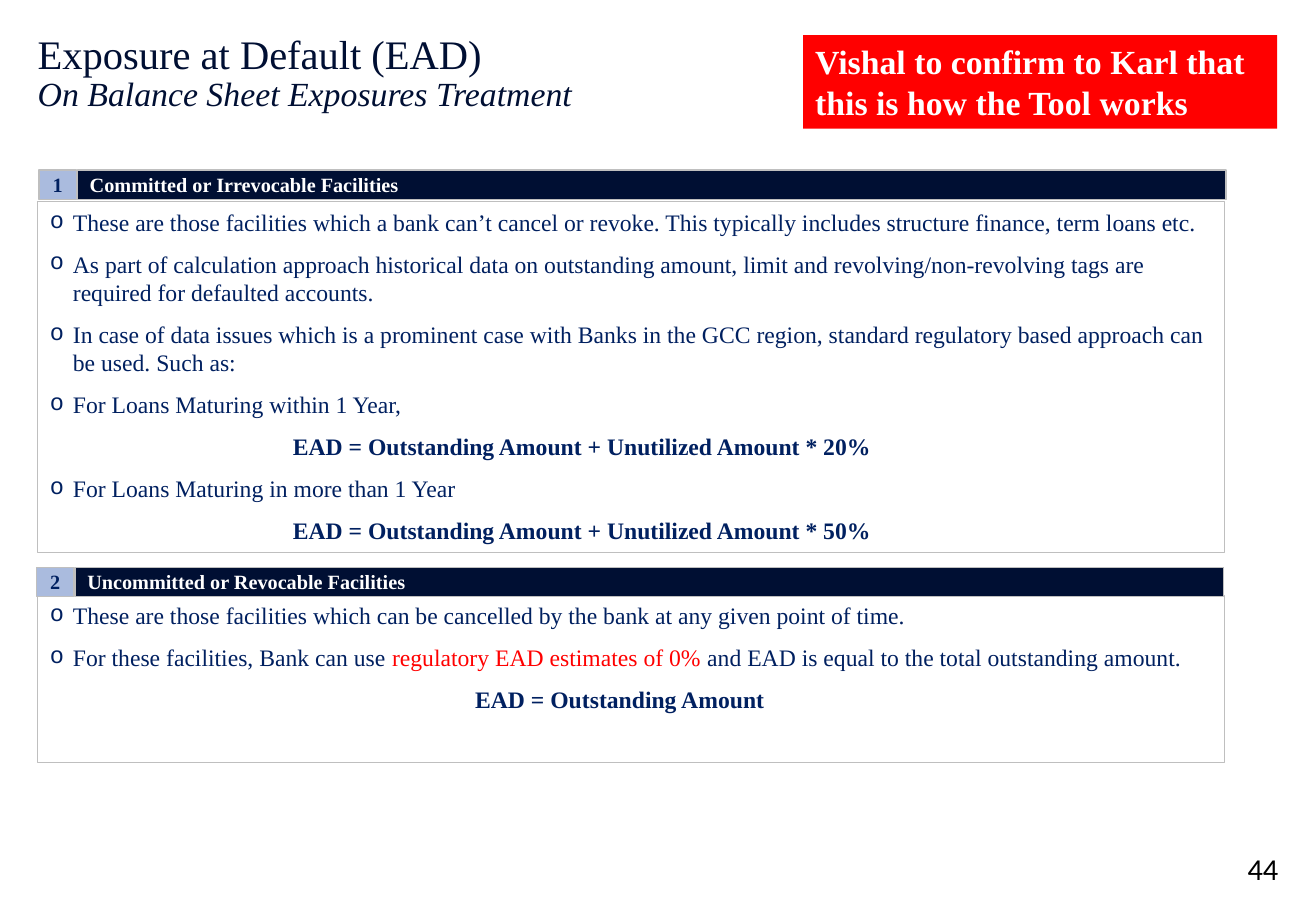
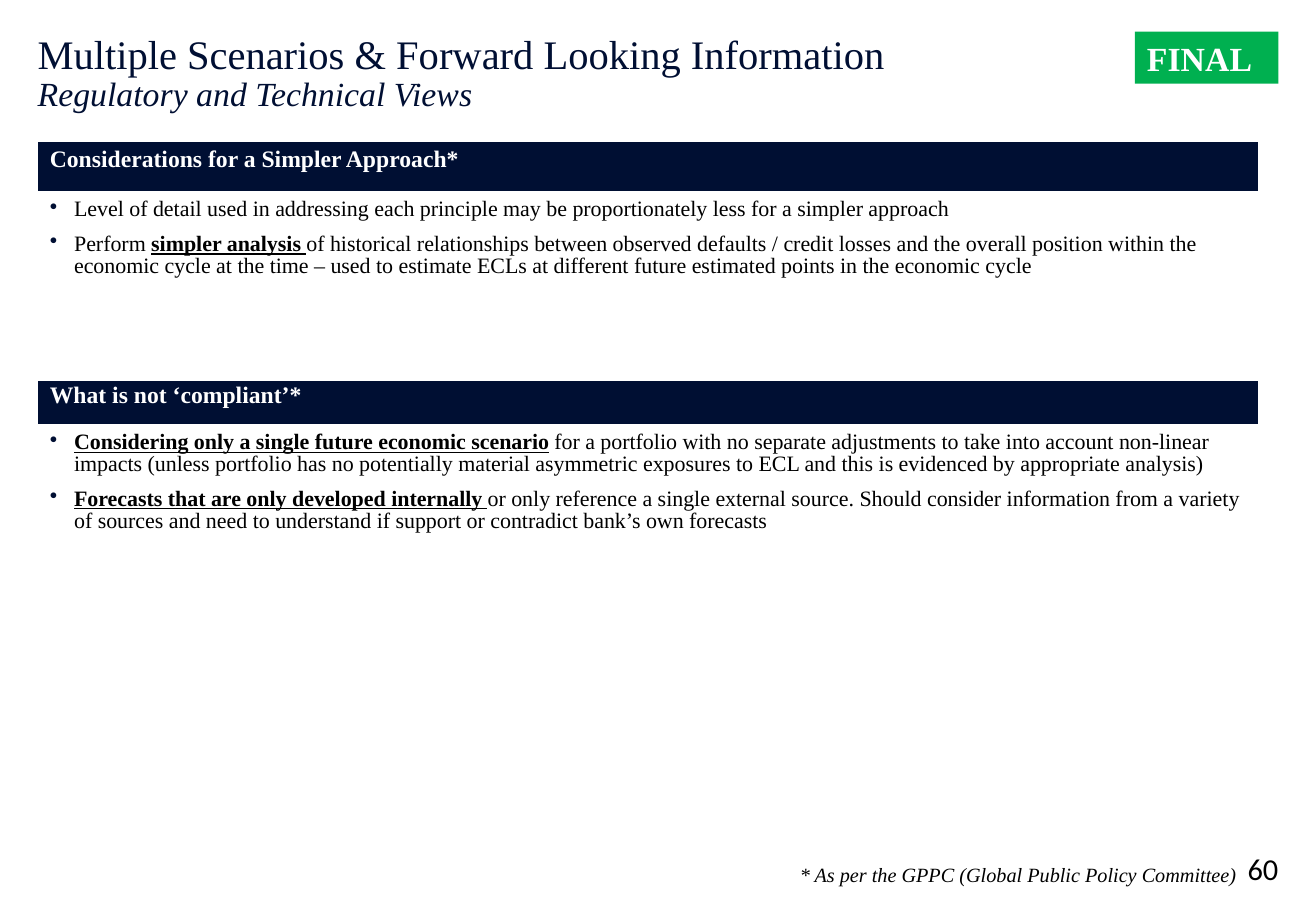
from dataclasses import dataclass
from typing import Optional

from lxml.etree import SubElement
from pptx import Presentation
from pptx.dml.color import RGBColor
from pptx.enum.shapes import MSO_SHAPE
from pptx.enum.text import MSO_ANCHOR, MSO_AUTO_SIZE, PP_ALIGN
from pptx.oxml.ns import qn
from pptx.util import Emu, Pt


@dataclass(frozen=True)
class Theme:
    font: str = "Times New Roman"
    number_font: str = "Calibri"
    bullet_font: str = "Courier New"
    navy: str = "000F33"
    blue: str = "002060"
    pale: str = "AABBDE"
    grey: str = "BFBFBF"
    white: str = "FFFFFF"
    black: str = "000000"
    red: str = "FF0000"
    green: str = "00B050"
    title: int = 24
    subtitle: int = 20
    number: int = 18
    body: int = 14
    table: int = 13
    small: int = 12


T = Theme()


@dataclass(frozen=True)
class Box:
    left: int
    top: int
    width: int
    height: int


@dataclass(frozen=True)
class Run:
    text: str
    bold: bool = False
    underline: bool = False
    color: Optional[str] = None


@dataclass(frozen=True)
class Para:
    runs: tuple[Run, ...]
    indent: int = 0
    bullet: bool = True


@dataclass(frozen=True)
class Section:
    number: str
    heading: str
    header: Box
    body: Box
    paras: tuple[Para, ...]


@dataclass(frozen=True)
class Panel:
    heading: str
    top: int
    rows: tuple[int, int]
    spacing: float
    paras: tuple[Para, ...]


@dataclass(frozen=True)
class Tag:
    text: str
    box: Box
    fill: str


def px(n: int) -> Emu:
    """Hundredths of an inch to EMU."""
    return Emu(n * 9144)


def rgb(color: str) -> RGBColor:
    return RGBColor.from_string(color)


def place(sp, box: Box) -> None:
    sp.left, sp.top = px(box.left), px(box.top)
    sp.width, sp.height = px(box.width), px(box.height)


def add_run(p, text: str, size: int, color: str, bold=False, italic=False,
            underline=False, font=T.font) -> None:
    r = p.add_run()
    r.text = text
    f = r.font
    f.name, f.size, f.bold, f.italic, f.underline = font, Pt(size), bold, italic, underline
    f.color.rgb = rgb(color)


def set_bullet(p, char: str, hang: int, color="", font="") -> None:
    pPr = p._p.get_or_add_pPr()
    pPr.set("marL", str(px(hang)))
    pPr.set("indent", str(-px(hang)))
    if color:
        SubElement(SubElement(pPr, qn("a:buClr")), qn("a:srgbClr")).set("val", color)
    if font:
        SubElement(pPr, qn("a:buFont")).set("typeface", font)
    SubElement(pPr, qn("a:buChar")).set("char", char)


def set_plain(p, indent: int) -> None:
    pPr = p._p.get_or_add_pPr()
    pPr.set("marL", str(px(indent)))
    pPr.set("indent", "0")
    SubElement(pPr, qn("a:buNone"))


def paragraphs(tf, paras: tuple[Para, ...]):
    """Yield each item with its paragraph, using the frame's first one."""
    for i, para in enumerate(paras):
        yield i, para, tf.add_paragraph() if i else tf.paragraphs[0]


def add_runs(p, para: Para, size: int, color: str) -> None:
    for run in para.runs:
        add_run(p, run.text, size, run.color or color, run.bold, underline=run.underline)


def add_rect(s, box: Box, fill: str, line=""):
    sp = s.shapes.add_shape(MSO_SHAPE.RECTANGLE, 0, 0, 0, 0)
    place(sp, box)
    sp.shadow.inherit = False
    sp.fill.solid()
    sp.fill.fore_color.rgb = rgb(fill)
    if line:
        sp.line.color.rgb, sp.line.width = rgb(line), Pt(0.75)
    else:
        sp.line.fill.background()
    return sp


def add_label(s, box: Box, text: str, fill: str, color: str, size: int, line="",
              align=PP_ALIGN.LEFT, anchor=MSO_ANCHOR.MIDDLE) -> None:
    tf = add_rect(s, box, fill, line).text_frame
    tf.word_wrap, tf.vertical_anchor = True, anchor
    p = tf.paragraphs[0]
    p.alignment = align
    add_run(p, text, size, color, bold=True)


def add_text(s, box: Box, text: str, size: int, font=T.font, italic=False,
             inset=True, anchor=MSO_ANCHOR.TOP) -> None:
    """Right-aligned black text."""
    tf = s.shapes.add_textbox(0, 0, 0, 0)
    place(tf, box)
    tf = tf.text_frame
    tf.word_wrap, tf.vertical_anchor = True, anchor
    if not inset:
        tf.margin_left = tf.margin_top = tf.margin_right = tf.margin_bottom = 0
    p = tf.paragraphs[0]
    p.alignment = PP_ALIGN.RIGHT
    add_run(p, text, size, T.black, italic=italic, font=font)


def add_slide(prs, layout: int, title: str, subtitle: str, number: str):
    s = prs.slides.add_slide(prs.slide_layouts[layout])
    place(s.shapes.title, Box(31, 28, 1020, 101))
    tf = s.shapes.title.text_frame
    tf.margin_left = tf.margin_top = tf.margin_right = tf.margin_bottom = 0
    tf.vertical_anchor, tf.auto_size = MSO_ANCHOR.TOP, MSO_AUTO_SIZE.NONE
    p = tf.paragraphs[0]
    p.alignment, p.line_spacing = PP_ALIGN.LEFT, 0.9
    add_run(p, title, T.title, T.navy)
    p.add_line_break()
    add_run(p, subtitle, T.subtitle, T.navy, italic=True)
    add_text(s, Box(1004, 699, 48, 31), number, T.number, T.number_font,
             inset=False, anchor=MSO_ANCHOR.BOTTOM)
    return s


def add_tag(s, tag: Tag) -> None:
    add_label(s, tag.box, tag.text, tag.fill, T.white, T.subtitle, anchor=MSO_ANCHOR.TOP)


def add_section(s, body, section: Section) -> None:
    """Numbered header bar above a framed list."""
    h, badge = section.header, 32
    add_label(s, Box(h.left, h.top, badge - 1, h.height), section.number, T.pale, T.blue,
              T.small, T.grey, PP_ALIGN.CENTER)
    add_label(s, Box(h.left + badge, h.top, h.width - badge, h.height), section.heading,
              T.navy, T.white, T.small, T.grey)
    place(body, section.body)
    body.line.color.rgb, body.line.width = rgb(T.grey), Pt(0.75)
    tf = body.text_frame
    tf.auto_size, tf.vertical_anchor = MSO_AUTO_SIZE.NONE, MSO_ANCHOR.TOP
    for i, para, p in paragraphs(tf, section.paras):
        if para.bullet:
            set_bullet(p, "o", 19, font=T.bullet_font)
        else:
            set_plain(p, para.indent)
        p.space_before, p.space_after = Pt(3 if i else 0), Pt(5)
        add_runs(p, para, T.body, T.blue)


def style_cell(cell, fill: str, bottom: int) -> None:
    """White borders, the bottom one of the given points, then the fill."""
    tcPr = cell._tc.get_or_add_tcPr()
    for side, width in (("L", 1), ("R", 1), ("T", 1), ("B", bottom)):
        ln = SubElement(tcPr, qn(f"a:ln{side}"))
        ln.set("w", str(Pt(width)))
        SubElement(SubElement(ln, qn("a:solidFill")), qn("a:srgbClr")).set("val", T.white)
    cell.fill.solid()
    cell.fill.fore_color.rgb = rgb(fill)


def add_panel(s, panel: Panel) -> None:
    """Two-row table: dark heading over a bulleted list."""
    table = s.shapes.add_table(2, 1, px(31), px(panel.top), px(1005), px(sum(panel.rows))).table
    table.first_row = table.horz_banding = False
    for row, height in zip(table.rows, panel.rows):
        row.height = px(height)
    head, body = table.cell(0, 0), table.cell(1, 0)
    style_cell(head, T.navy, 3)
    style_cell(body, T.white, 1)
    p = head.text_frame.paragraphs[0]
    p.line_spacing = panel.spacing
    add_run(p, panel.heading, T.body, T.white, bold=True)
    for i, para, p in paragraphs(body.text_frame, panel.paras):
        set_bullet(p, "•", 20, color=T.navy)
        p.line_spacing, p.space_before = 0.9, Pt(7.8 if i else 0)
        add_runs(p, para, T.table, T.black)


def item(*runs: Run) -> Para:
    return Para(runs)


def formula(text: str, indent: int) -> Para:
    return Para((Run(text, bold=True),), indent, bullet=False)


def key(text: str) -> Run:
    return Run(text, bold=True, underline=True)


SECTIONS = (
    Section("1", "Committed or Irrevocable Facilities", Box(32, 140, 977, 24), Box(31, 166, 977, 289), (
        item(Run("These are those facilities which a bank can’t cancel or revoke. This typically includes structure finance, term loans etc.")),
        item(Run("As part of calculation approach historical data on outstanding amount, limit and revolving/non-revolving tags are required for defaulted accounts.")),
        item(Run("In case of data issues which is a prominent case with Banks in the GCC region, standard regulatory based approach can be used. Such as:")),
        item(Run("For Loans Maturing within 1 Year,")),
        formula("EAD = Outstanding Amount + Unutilized Amount * 20%", 200),
        item(Run("For Loans Maturing in more than 1 Year")),
        formula("EAD = Outstanding Amount + Unutilized Amount * 50%", 200),
    )),
    Section("2", "Uncommitted or Revocable Facilities", Box(30, 467, 977, 24), Box(31, 490, 977, 138), (
        item(Run("These are those facilities which can be cancelled by the bank at any given point of time.")),
        item(Run("For these facilities, Bank can use "), Run("regulatory EAD estimates of 0% ", color=T.red),
             Run("and EAD is equal to the total outstanding amount.")),
        formula("EAD = Outstanding Amount", 350),
    )),
)

PANELS = (
    Panel("Considerations for a Simpler Approach*", 116, (43, 123), 1.0, (
        item(Run("Level of detail used in addressing each principle may be proportionately less for a simpler approach")),
        item(Run("Perform "), key("simpler analysis "),
             Run("of historical relationships between observed defaults / credit losses and the overall position within the economic cycle at the time – used to estimate ECLs at different future estimated points in the economic cycle")),
    )),
    Panel("What is not ‘compliant’*", 313, (38, 124), 0.85, (
        item(key("Considering only a single future economic scenario"),
             Run(" for a portfolio with no separate adjustments to take into account non-linear impacts (unless portfolio has no potentially material asymmetric exposures to ECL and this is evidenced by appropriate analysis)")),
        item(key("Forecasts that are only developed internally "),
             Run("or only reference a single external source. Should consider information from a variety of sources and need to understand if support or contradict bank’s own forecasts")),
    )),
)


def main() -> None:
    prs = Presentation()
    prs.slide_width, prs.slide_height = px(1083), px(750)

    s = add_slide(prs, 3, "Exposure at Default (EAD)", "On Balance Sheet Exposures Treatment", "44")
    for idx, section in enumerate(SECTIONS, 1):
        add_section(s, s.placeholders[idx], section)
    add_tag(s, Tag("Vishal to confirm to Karl that this is how the Tool works", Box(661, 29, 390, 77), T.red))

    s = add_slide(prs, 5, "Multiple Scenarios & Forward Looking Information", "Regulatory and Technical Views", "60")
    add_text(s, Box(442, 705, 590, 31), "* As per the GPPC (Global Public Policy Committee) ", T.small, italic=True)
    for panel in PANELS:
        add_panel(s, panel)
    add_tag(s, Tag("FINAL", Box(934, 26, 118, 43), T.green))

    prs.save("out.pptx")


if __name__ == "__main__":
    main()
